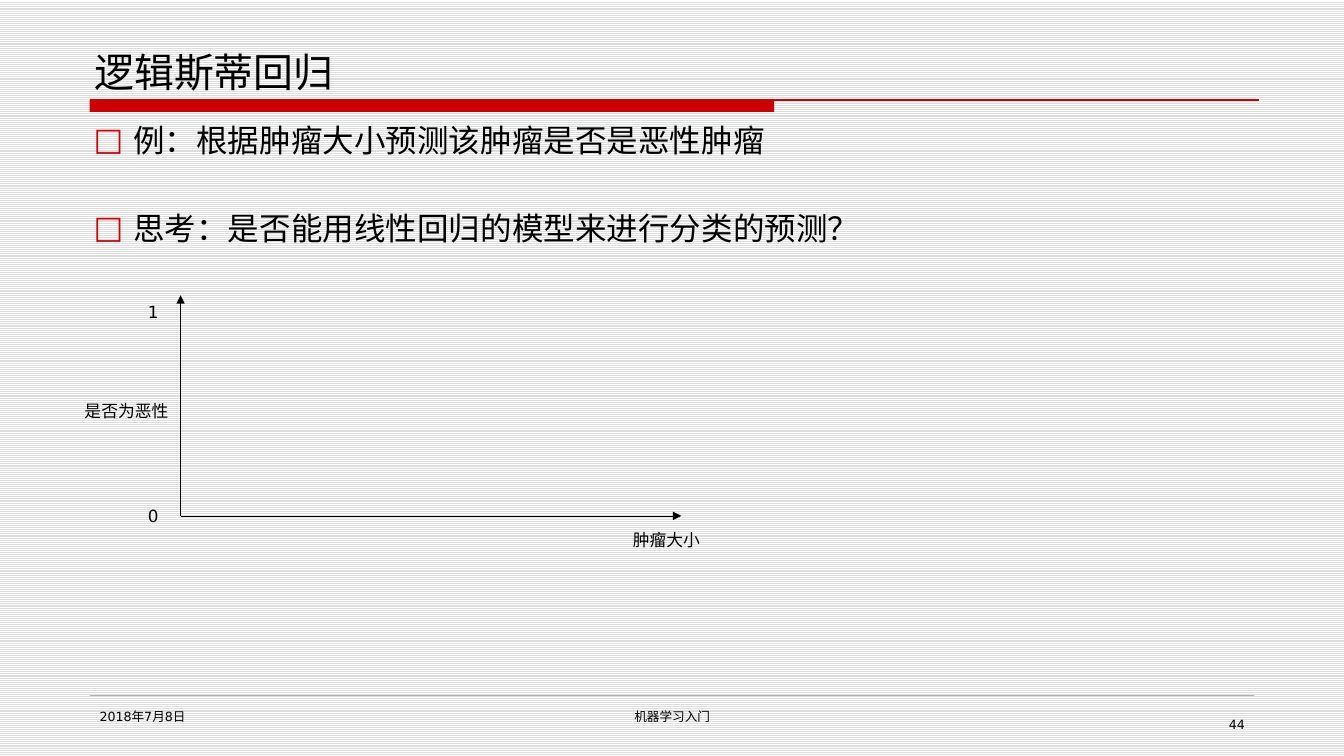
from lxml.etree import SubElement
from pptx import Presentation
from pptx.dml.color import RGBColor
from pptx.enum.dml import MSO_PATTERN
from pptx.enum.shapes import MSO_CONNECTOR, MSO_SHAPE
from pptx.enum.text import MSO_ANCHOR as ANCHOR, PP_ALIGN as ALIGN
from pptx.oxml.ns import qn
from pptx.util import Cm, Pt

FONT = "DejaVu Sans"
RED, BLACK, GRAY = "CC0000", "000000", "B2B2B2"

prs = Presentation()
prs.slide_width, prs.slide_height = Cm(33.87), Cm(19.05)
slide = prs.slides.add_slide(prs.slide_layouts[6])
shapes = slide.shapes
rgb = RGBColor.from_string


def add_text(text, left, top, width, height, size=12, align=ALIGN.LEFT,
             anchor=ANCHOR.TOP, bullet=None, gaps=(0,)):
    """Add a text box with one paragraph per line; gaps are points before each."""
    frame = shapes.add_textbox(Cm(left), Cm(top), Cm(width), Cm(height)).text_frame
    frame.word_wrap = True
    frame.vertical_anchor = anchor
    frame.text = text
    for paragraph, gap in zip(frame.paragraphs, gaps):
        paragraph.alignment = align
        paragraph.space_before = Pt(gap)
        font = paragraph.runs[0].font
        font.name, font.size = FONT, Pt(size)
        font.color.rgb = rgb(BLACK)
        if bullet:
            props = paragraph._p.get_or_add_pPr()
            props.set("marL", str(Cm(1)))
            props.set("indent", str(-Cm(1)))
            bullet_color = SubElement(props, qn("a:buClr"))
            SubElement(bullet_color, qn("a:srgbClr"), val=RED)
            SubElement(props, qn("a:buFont"), typeface=FONT)
            SubElement(props, qn("a:buChar"), char=bullet)


def add_line(x1, y1, x2, y2, color, width, arrow=False):
    line = shapes.add_connector(MSO_CONNECTOR.STRAIGHT, Cm(x1), Cm(y1), Cm(x2), Cm(y2))
    line.line.color.rgb = rgb(color)
    line.line.width = Pt(width)
    if arrow:
        SubElement(line.line._get_or_add_ln(), qn("a:tailEnd"), type="triangle")
    SubElement(line._element.spPr, qn("a:effectLst"))


# Background and rules
backdrop = slide.background.fill
backdrop.patterned()
backdrop.pattern = MSO_PATTERN.LIGHT_HORIZONTAL
backdrop.fore_color.rgb = rgb("DDDDDD")
backdrop.back_color.rgb = rgb("FFFFFF")

title_bar = shapes.add_shape(MSO_SHAPE.RECTANGLE, Cm(2.26), Cm(2.52), Cm(17.25), Cm(0.3))
title_bar.shadow.inherit = False
title_bar.fill.solid()
title_bar.fill.fore_color.rgb = rgb(RED)
title_bar.line.fill.background()
add_line(2.26, 2.52, 31.72, 2.52, RED, 0.75)
add_line(2.26, 17.52, 31.6, 17.52, GRAY, 0.25)

# Title and bullets
add_text("逻辑斯蒂回归", 2.13, 0.84, 29.64, 1.68, size=28.5, anchor=ANCHOR.BOTTOM)
add_text("例：根据肿瘤大小预测该肿瘤是否是恶性肿瘤\n"
         "思考：是否能用线性回归的模型来进行分类的预测？",
         2.11, 2.92, 29.64, 13.79, size=22.5, bullet="□", gaps=(4.5, 36))

# Footer
add_text("2018年7月8日", 2.26, 17.73, 7.34, 0.94, size=9)
add_text("机器学习入门", 11.58, 17.73, 10.72, 0.94, size=9, align=ALIGN.CENTER)
add_text("44", 24.28, 17.93, 7.34, 0.74, size=9, align=ALIGN.RIGHT)

# Axes of the empty diagram
origin_x, origin_y = 4.55, 13
for end_x, end_y in [(origin_x, 7.44), (17.17, origin_y)]:
    add_line(origin_x, origin_y, end_x, end_y, BLACK, 0.5, arrow=True)

for label, left, top, width in [
    ("肿瘤大小", 15.7, 13.23, 2.5),
    ("是否为恶性", 1.88, 9.98, 2.75),
    ("0", 3.48, 12.62, 0.85),
    ("1", 3.48, 7.49, 0.85),
]:
    add_text(label, left, top, width, 0.76)

prs.save("out.pptx")
